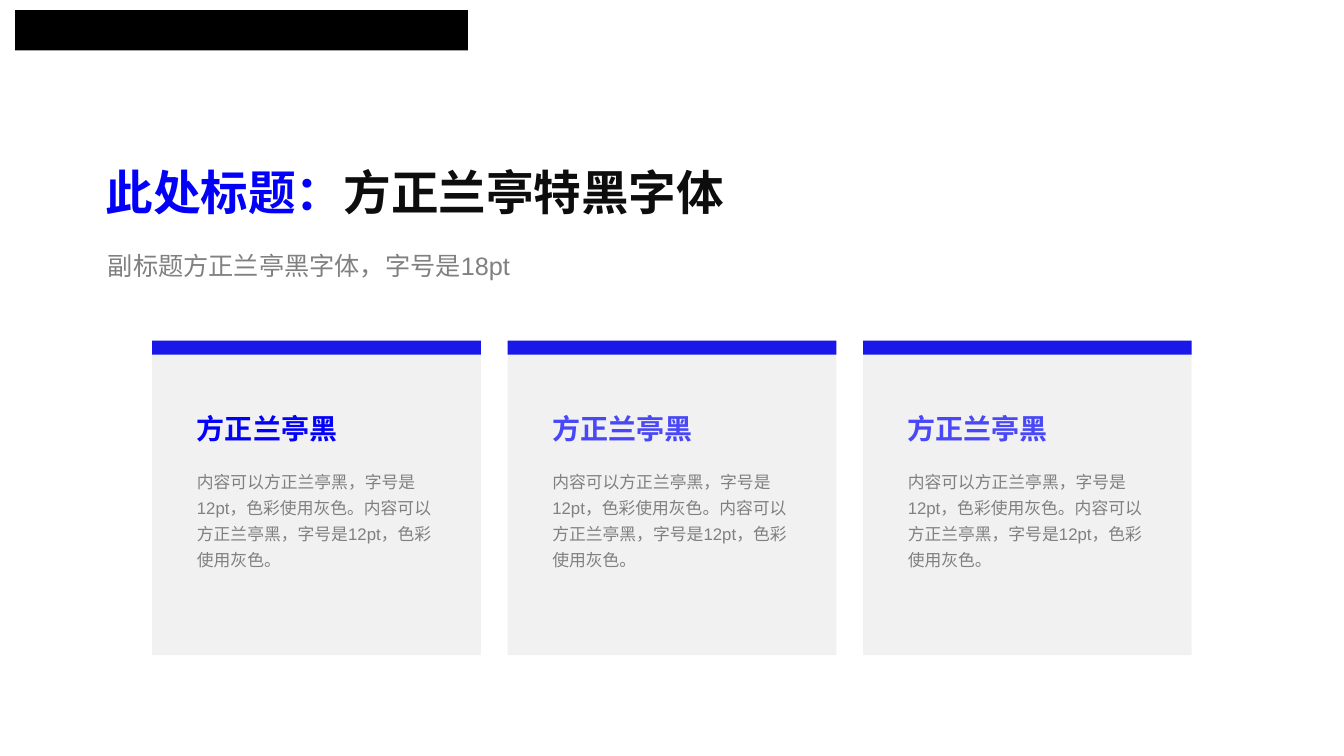
from lxml import etree
from pptx import Presentation
from pptx import util as u
from pptx.dml.color import RGBColor
from pptx.enum import shapes, text
from pptx.oxml.ns import qn

COLORS = {"black": "000000", "ink": "0D0D0D", "gray": "808080", "panel": "D9D9D9",
          "bar": "1918E8", "title": "0300F9", "heading": "0200FA"}

# Grid of 133.3 columns by 75 rows
prs = Presentation()
prs.slide_width, prs.slide_height = u.Inches(13.33), u.Inches(7.5)
CELL = prs.slide_height / 75
s = prs.slides.add_slide(prs.slide_layouts[6])


def paint(fill, color, alpha=100):
    fill.solid()
    fill.fore_color.rgb = RGBColor.from_string(COLORS[color])
    if alpha < 100:
        for clr in fill._xPr.iter(qn("a:srgbClr")):
            etree.SubElement(clr, qn("a:alpha")).set("val", str(alpha * 1000))


def add(parent, box, color, alpha=100, words=None, size=12, bold=False, spacing=1.3, wrap=True):
    """Add a rectangle, or a text box when words are given."""
    place = [round(v * CELL) for v in box]
    if words is None:
        sp = parent.shapes.add_shape(shapes.MSO_SHAPE.RECTANGLE, *place)
        sp.shadow.inherit = False
        sp.line.fill.background()
        paint(sp.fill, color, alpha)
        return sp
    sp = parent.shapes.add_textbox(*place)
    tf = sp.text_frame
    tf.word_wrap = wrap
    p = tf.paragraphs[0]
    p.text = words
    p.line_spacing = spacing
    r = p.runs[0]
    r.font.name, r.font.size, r.font.bold = "Arial", u.Pt(size), bold
    paint(r.font.fill, color, alpha)
    return sp


# Top band
add(s, (1.5, 1, 44.9, 4), "black")

# Three cards
body = "内容可以方正兰亭黑，字号是12pt，色彩使用灰色。" * 2
for i, alpha in enumerate((100, 70, 70)):
    x = 15.1 + i * 35.25
    card = s.shapes.add_group_shape()
    add(card, (x, 33.8, 32.6, 31.2), "panel", 35)
    add(card, (x, 33.8, 32.6, 1.4), "bar")
    add(card, (x + 3.45, 39.3, 16, 5.1), "heading", alpha, "方正兰亭黑", 20, True, wrap=False)
    add(card, (x + 3.45, 45.7, 25.4, 15.4), "gray", words=body)

# Title in two colours
sp = add(s, (9.5, 12.8, 95.9, 9), "title", words="此处标题：", size=34, bold=True, spacing=1.5)
r = sp.text_frame.paragraphs[0].add_run()
r.text = "方正兰亭特黑字体"
r.font.name, r.font.size, r.font.bold = "Arial", u.Pt(34), True
paint(r.font.fill, "ink")

# Subtitle
sp = add(s, (10.7, 23.5, 58.2, 4.4), "gray", words="副标题方正兰亭黑字体，字号是18pt", size=18)
tf = sp.text_frame
tf.auto_size = text.MSO_AUTO_SIZE.SHAPE_TO_FIT_TEXT
tf.margin_left, tf.margin_right = 0, u.Inches(0.24)
tf.margin_top = tf.margin_bottom = u.Inches(0.04)

prs.save("out.pptx")
